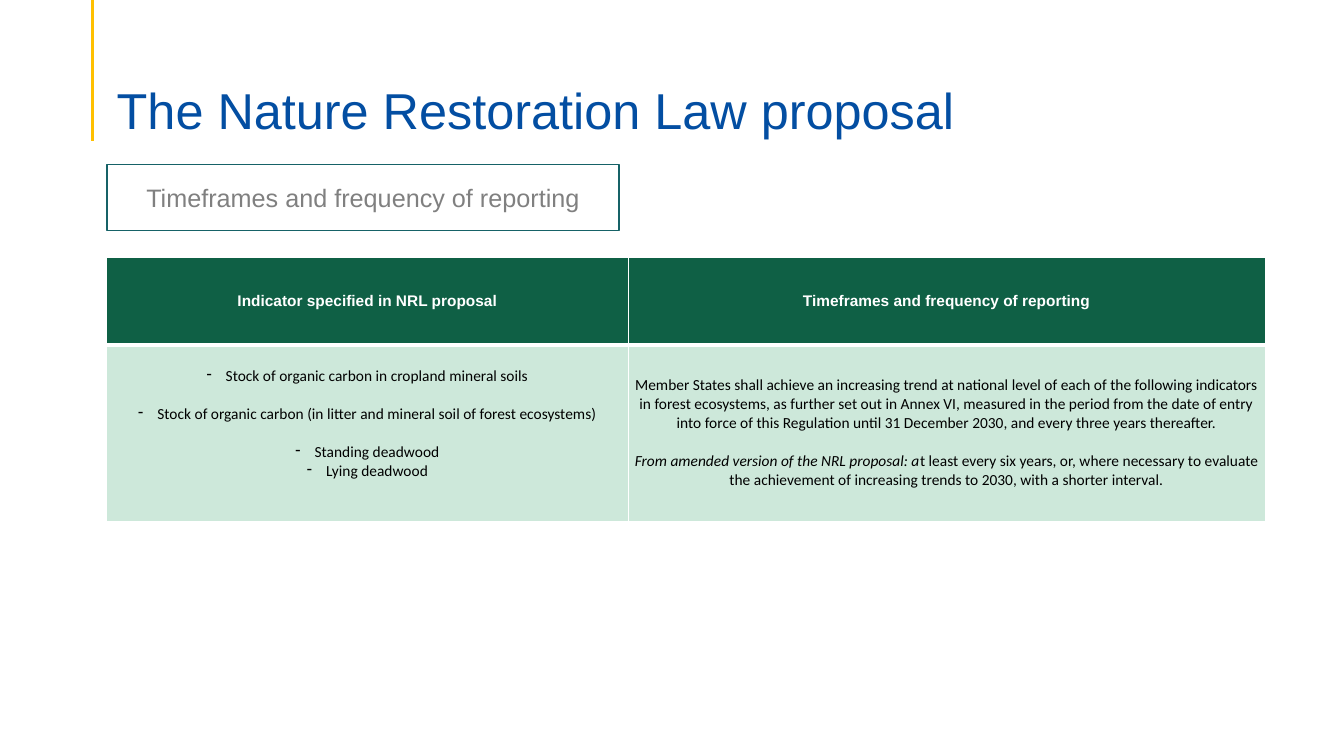
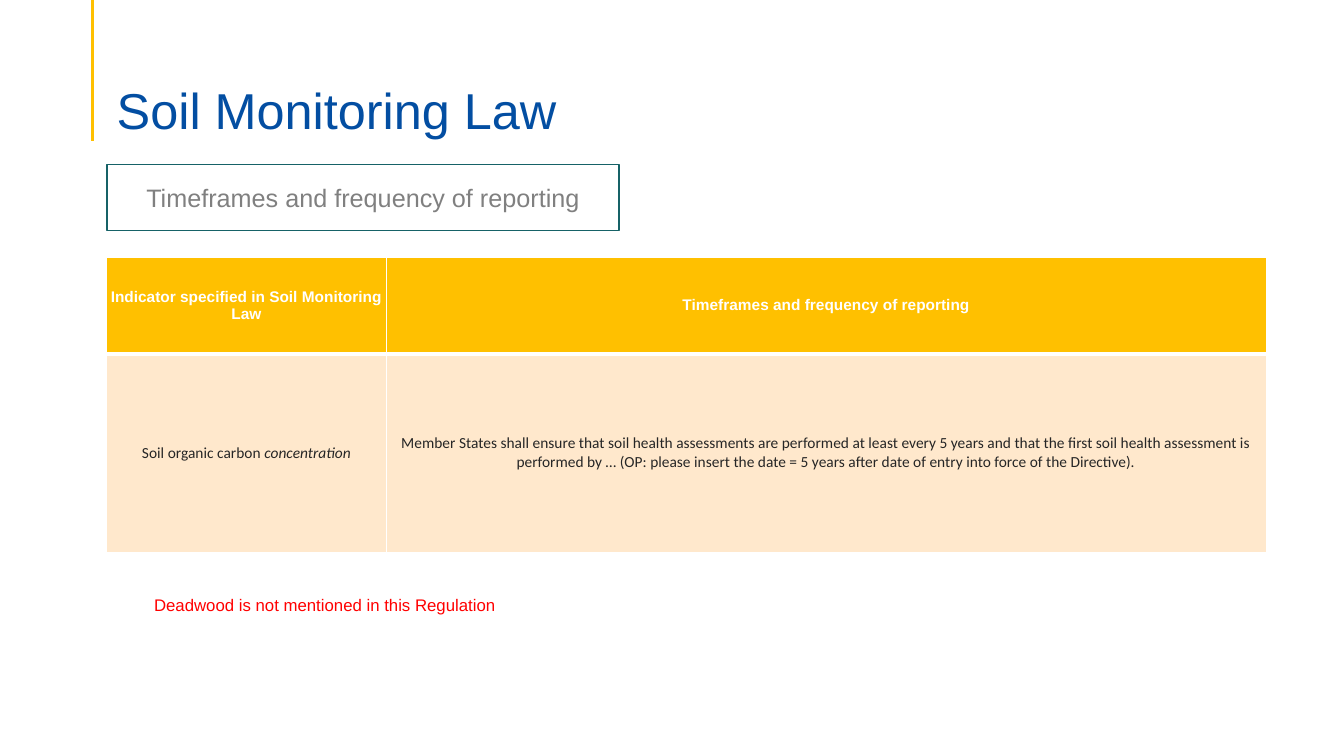
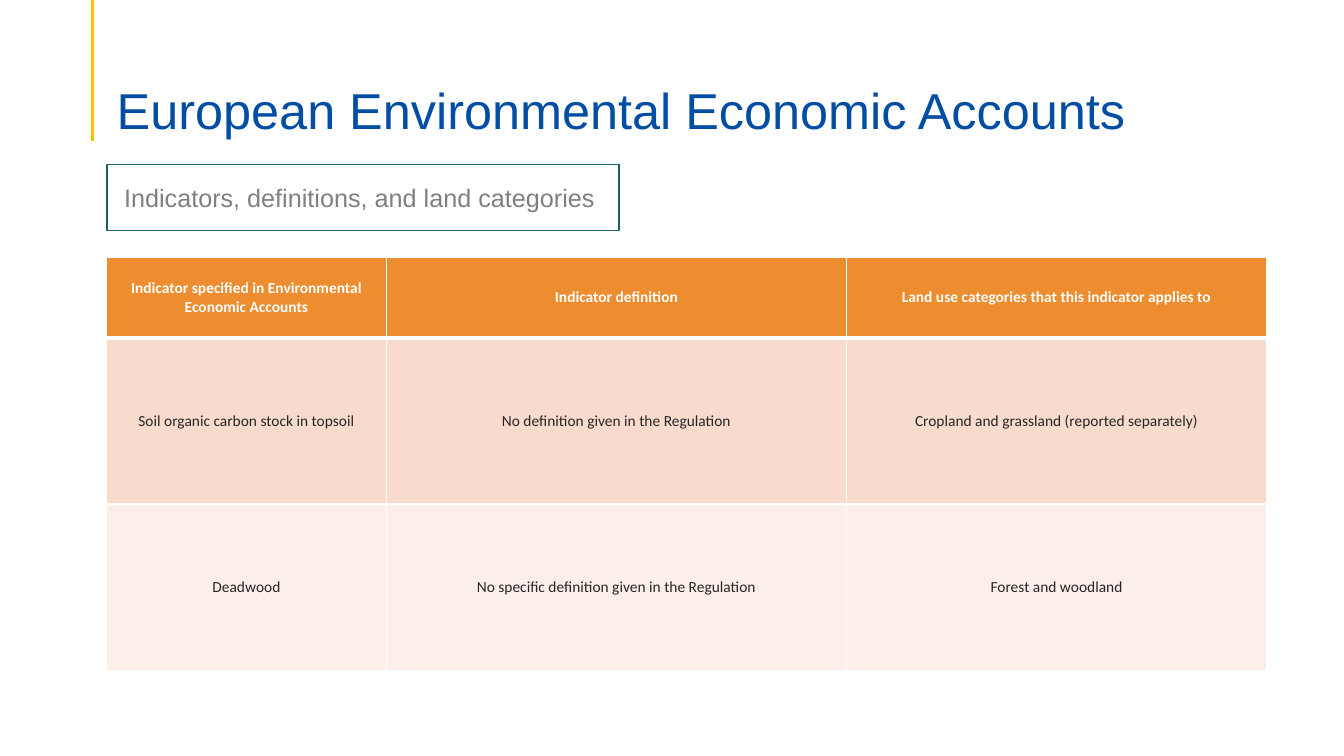
from dataclasses import dataclass

from lxml.etree import SubElement
from pptx import Presentation
from pptx.dml.color import RGBColor
from pptx.enum.shapes import MSO_CONNECTOR as Link, MSO_SHAPE as Shape
from pptx.enum.text import MSO_ANCHOR as Anchor, PP_ALIGN as Align
from pptx.oxml.ns import qn
from pptx.slide import Slide
from pptx.table import _Cell as Cell
from pptx.text.text import TextFrame
from pptx.util import Inches, Pt

WHITE = RGBColor(0xFF, 0xFF, 0xFF)
BLACK = RGBColor(0x00, 0x00, 0x00)
INK = RGBColor(0x26, 0x26, 0x26)
GREY = RGBColor(0x80, 0x80, 0x80)
BLUE = RGBColor(0x03, 0x4E, 0xA2)
TEAL = RGBColor(0x16, 0x62, 0x67)
RED = RGBColor(0xFF, 0x00, 0x00)
GOLD = RGBColor(0xFF, 0xC0, 0x00)
CREAM = RGBColor(0xFF, 0xE8, 0xCC)
GREEN = RGBColor(0x0F, 0x60, 0x45)
MINT = RGBColor(0xCD, 0xE8, 0xDA)
AMBER = RGBColor(0xED, 0x8D, 0x2F)
PEACH = RGBColor(0xF8, 0xDB, 0xCD)
BLUSH = RGBColor(0xFC, 0xEE, 0xE8)

HEAD, BODY = "Arial", "Calibri"
LEFT, WIDTH = 1.06, 11.5
BLANK = 13.4  # height in points of one empty body line
DASH = 0.19   # hanging indent of a dash item


@dataclass
class Run:
    text: str
    italic: bool = False


@dataclass
class Para:
    runs: list[Run]
    before: float = 0
    dash: bool = False


@dataclass
class Grid:
    cols: list[float]
    rows: list[float]
    fills: list[RGBColor]
    head: list[str]
    body: list[list[list[Para]]]
    font: str = HEAD
    ink: RGBColor = INK


@dataclass
class Page:
    title: str
    topic: str
    grid: Grid
    note: str = ""


def para(*runs: str | Run, before: float = 0, dash: bool = False) -> Para:
    return Para([Run(r) if isinstance(r, str) else r for r in runs], before, dash)


def write(frame: TextFrame, paras: list[Para], *, font: str = HEAD, size: float = 11,
          color: RGBColor = INK, bold: bool = False, align: Align = Align.CENTER,
          anchor: Anchor = Anchor.MIDDLE, lead: float = 1) -> None:
    frame.word_wrap = True
    frame.vertical_anchor = anchor
    for i, item in enumerate(paras):
        line = frame.add_paragraph() if i else frame.paragraphs[0]
        line.alignment = align
        line.line_spacing = lead
        line.space_before = Pt(item.before)
        if item.dash:
            props = line._p.get_or_add_pPr()
            props.set("marL", str(Inches(DASH)))
            props.set("indent", str(-Inches(DASH)))
            SubElement(props, qn("a:buChar")).set("char", "-")
        for part in item.runs:
            run = line.add_run()
            run.text = part.text
            face = run.font
            face.name, face.size = font, Pt(size)
            face.bold, face.italic = bold, part.italic
            face.color.rgb = color


def edge(cell: Cell, top: float, low: float) -> None:
    """Draw white borders, with the given widths above and below."""
    props = cell._tc.get_or_add_tcPr()
    for side, width in (("L", 1), ("R", 1), ("T", top), ("B", low)):
        line = SubElement(props, qn(f"a:ln{side}"), w=str(Pt(width)))
        fill = SubElement(line, qn("a:solidFill"))
        SubElement(fill, qn("a:srgbClr"), val=str(WHITE))


def add_grid(slide: Slide, grid: Grid) -> None:
    table = slide.shapes.add_table(
        len(grid.rows), len(grid.cols), Inches(LEFT), Inches(2.55),
        Inches(sum(grid.cols)), Inches(sum(grid.rows))).table
    table.first_row = table.horz_banding = False
    for col, width in zip(table.columns, grid.cols):
        col.width = Inches(width)
    for row, height in zip(table.rows, grid.rows):
        row.height = Inches(height)
    lines = [[[para(text)] for text in grid.head], *grid.body]
    for r, line in enumerate(lines):
        for c, paras in enumerate(line):
            cell = table.cell(r, c)
            edge(cell, top=3 if r == 1 else 1, low=1 if r else 3)
            cell.fill.solid()
            cell.fill.fore_color.rgb = grid.fills[r]
            cell.margin_left = cell.margin_right = cell.margin_top = 0
            # Dash lists sit one line above the middle of the cell.
            cell.margin_bottom = Pt(BLANK) if paras[-1].dash else 0
            cell.vertical_anchor = Anchor.MIDDLE
            write(cell.text_frame, paras, font=BODY if r else grid.font,
                  color=grid.ink if r else WHITE, bold=r == 0)


def add_rule(slide: Slide) -> None:
    x = Inches(0.92)
    rule = slide.shapes.add_connector(Link.STRAIGHT, x, 0, x, Inches(1.4))
    rule.line.color.rgb = GOLD
    rule.line.width = Pt(2.25)
    SubElement(rule._element.spPr, qn("a:effectLst"))


def add_title(slide: Slide, text: str) -> None:
    box = slide.shapes.add_textbox(
        Inches(LEFT), Inches(0.53), Inches(WIDTH), Inches(0.86))
    box.text_frame.margin_bottom = 0
    write(box.text_frame, [para(text)], size=36, color=BLUE, align=Align.LEFT,
          anchor=Anchor.BOTTOM, lead=0.9)


def add_topic(slide: Slide, text: str) -> None:
    box = slide.shapes.add_shape(
        Shape.RECTANGLE, Inches(LEFT), Inches(1.63), Inches(5.08), Inches(0.66))
    box.shadow.inherit = False
    box.fill.solid()
    box.fill.fore_color.rgb = WHITE
    box.line.color.rgb = TEAL
    box.line.width = Pt(1)
    write(box.text_frame, [para(text)], size=18, color=GREY)


def add_note(slide: Slide, text: str) -> None:
    box = slide.shapes.add_textbox(
        Inches(1.43), Inches(5.85), Inches(5), Inches(0.3))
    write(box.text_frame, [para(text)], size=12, color=RED, align=Align.LEFT,
          anchor=Anchor.TOP)


TIMES = "Timeframes and frequency of reporting"

PAGES = [
    Page("The Nature Restoration Law proposal", TIMES, Grid(
        cols=[5.17, 6.32], rows=[0.87, 1.75], fills=[GREEN, MINT], ink=BLACK,
        head=["Indicator specified in NRL proposal", TIMES],
        body=[[
            [para("Stock of organic carbon in cropland mineral soils", dash=True),
             para("Stock of organic carbon (in litter and mineral soil of forest "
                  "ecosystems)", before=BLANK, dash=True),
             para("Standing deadwood", before=BLANK, dash=True),
             para("Lying deadwood", dash=True)],
            [para("Member States shall achieve an increasing trend at national level "
                  "of each of the following indicators in forest ecosystems, as "
                  "further set out in Annex VI, measured in the period from the date "
                  "of entry into force of this Regulation until 31 December 2030, and "
                  "every three years thereafter."),
             para(Run("From amended version of the NRL proposal: a", italic=True),
                  "t least every six years, or, where necessary to evaluate the "
                  "achievement of increasing trends to 2030, with a shorter interval.",
                  before=BLANK)],
        ]])),
    Page("Soil Monitoring Law", TIMES, Grid(
        cols=[2.77, 8.73], rows=[0.96, 1.97], fills=[GOLD, CREAM],
        head=["Indicator specified in Soil Monitoring Law", TIMES],
        body=[[
            [para("Soil organic carbon ", Run("concentration", italic=True))],
            [para("Member States shall ensure that soil health assessments are "
                  "performed at least every 5 years and that the first soil health "
                  "assessment is performed by … (OP: please insert the date = 5 years "
                  "after date of entry into force of the Directive).")],
        ]]), note="Deadwood is not mentioned in this Regulation"),
    Page("European Environmental Economic Accounts",
         "Indicators, definitions, and land categories ", Grid(
             cols=[2.77, 4.57, 4.16], rows=[0.8, 1.65, 1.65],
             fills=[AMBER, PEACH, BLUSH], font=BODY,
             head=["Indicator specified in Environmental Economic Accounts",
                   "Indicator definition",
                   "Land use categories that this indicator applies to"],
             body=[[[para("Soil organic carbon stock in topsoil")],
                    [para("No definition given in the Regulation")],
                    [para("Cropland and grassland (reported separately)")]],
                   [[para("Deadwood")],
                    [para("No specific definition given in the Regulation")],
                    [para("Forest and woodland")]]])),
]


def main() -> None:
    deck = Presentation()
    deck.slide_width, deck.slide_height = Inches(13.33), Inches(7.5)
    for page in PAGES:
        slide = deck.slides.add_slide(deck.slide_layouts[6])
        add_rule(slide)
        add_grid(slide, page.grid)
        add_title(slide, page.title)
        add_topic(slide, page.topic)
        if page.note:
            add_note(slide, page.note)
    deck.save("out.pptx")


if __name__ == "__main__":
    main()
